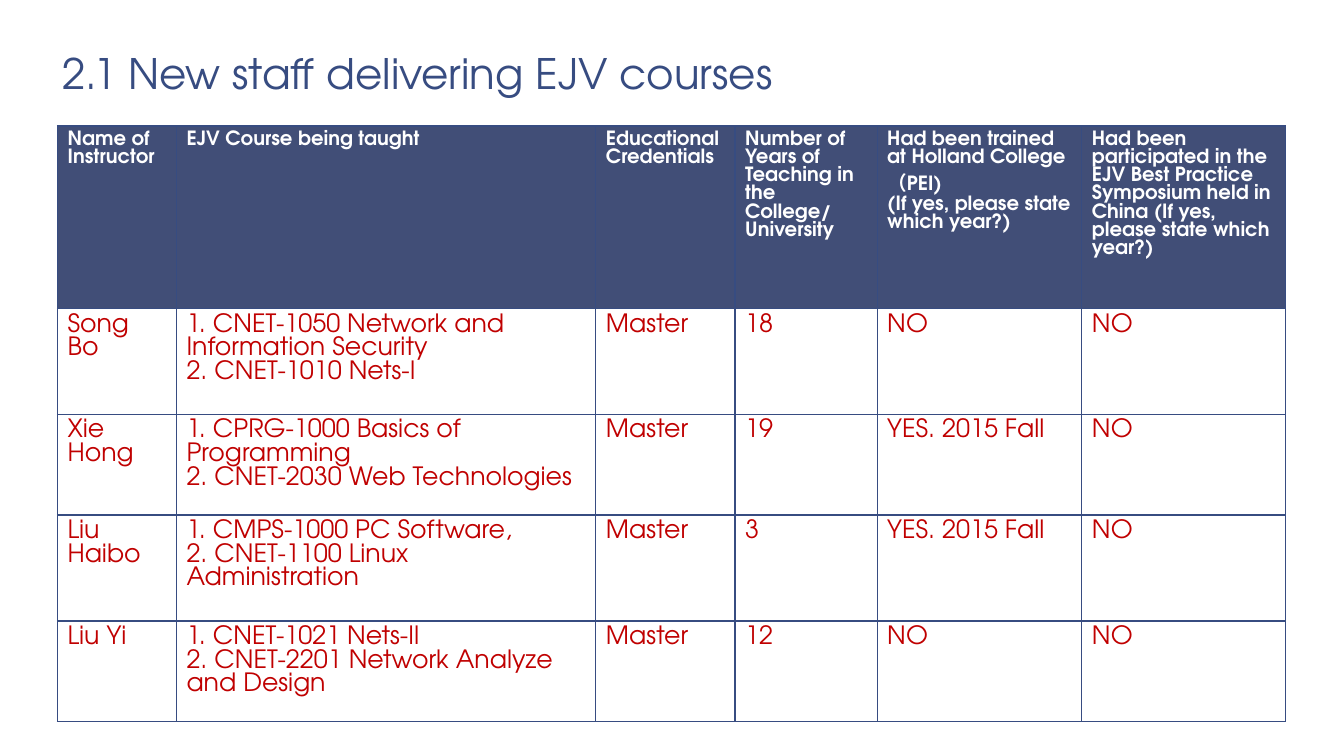
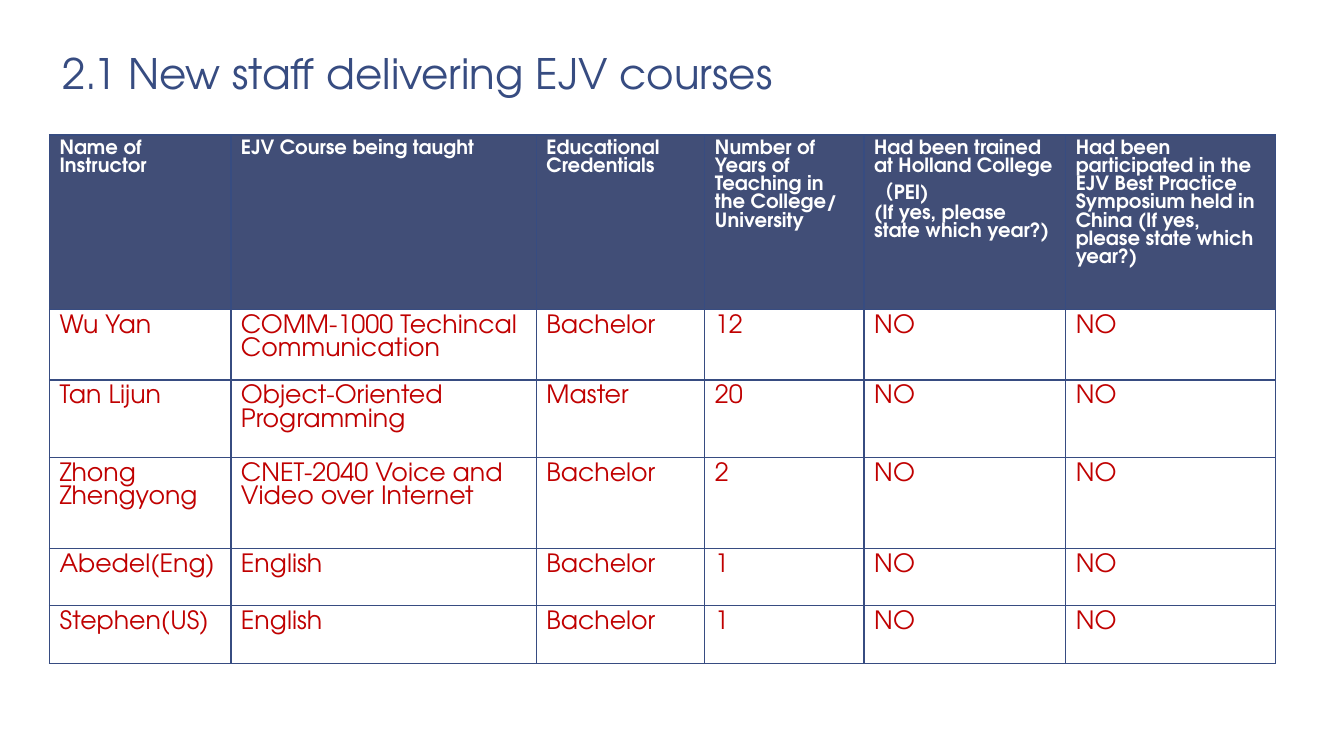
from lxml import etree
from pptx import Presentation
from pptx.dml.color import RGBColor
from pptx.enum.shapes import MSO_SHAPE
from pptx.enum.text import MSO_ANCHOR, PP_ALIGN
from pptx.oxml.ns import qn
from pptx.util import Inches, Pt

ROUNDED = MSO_SHAPE.ROUNDED_RECTANGLE
MIDDLE = MSO_ANCHOR.MIDDLE
TOP = MSO_ANCHOR.TOP
LEFT = PP_ALIGN.LEFT

FONT = "TeX Gyre Adventor"
BLUE = RGBColor(0x37, 0x4C, 0x81)
HEADER_FILL = RGBColor(0x41, 0x4E, 0x77)
WHITE = RGBColor(0xFF, 0xFF, 0xFF)
RED = RGBColor(0xC0, 0x00, 0x00)

TITLE = "2.1 New staff delivering EJV courses"
TITLE_BOX = (0.49, 0.39, 7.98, 0.67)
BORDER_SIDES = ("a:lnL", "a:lnR", "a:lnT", "a:lnB")

HEADER = (
    "Name of Instructor",
    "EJV Course being taught",
    "Educational\nCredentials",
    "Number of Years of Teaching in the College/ University",
    "Had been trained at Holland College （PEI)\n(If yes, please state which year?)",
    "Had been participated in the EJV Best Practice Symposium held in China "
    "(If yes, please state which year?)",
)

STAFF_TABLES = (
    {
        "origin": (0.57, 1.25),
        "columns": (1.18, 4.16, 1.38, 1.41, 2.03, 2.02),
        "heights": (1.81, 1.05, 1.0, 1.05, 1.0),
        "staff": (
            ("Song Bo", "1. CNET-1050 Network and Information Security\n2. CNET-1010 Nets-I",
             "Master", "18", "NO", "NO"),
            ("Xie Hong", "1. CPRG-1000 Basics of Programming\n2. CNET-2030 Web Technologies",
             "Master", "19", "YES. 2015 Fall", "NO"),
            ("Liu Haibo", "1. CMPS-1000 PC Software,\n2. CNET-1100 Linux Administration",
             "Master", "3", "YES. 2015 Fall", "NO"),
            ("Liu Yi", "1. CNET-1021 Nets-II\n2. CNET-2201 Network Analyze and Design",
             "Master", "12", "NO", "NO"),
        ),
    },
    {
        "origin": (0.49, 1.34),
        "columns": (1.8, 3.03, 1.67, 1.58, 2.0, 2.08),
        "heights": (1.73, 0.7, 0.77, 0.9, 0.57, 0.57),
        "staff": (
            ("Wu Yan", "COMM-1000 Techincal Communication", "Bachelor", "12", "NO", "NO"),
            ("Tan Lijun", "Object-Oriented Programming", "Master", "20", "NO", "NO"),
            ("Zhong Zhengyong", "CNET-2040 Voice and Video over Internet",
             "Bachelor", "2", "NO", "NO"),
            ("Abedel(Eng)", "English", "Bachelor", "1", "NO", "NO"),
            ("Stephen(US)", "English", "Bachelor", "1", "NO", "NO"),
        ),
    },
)


def write_text(frame, text, size, color, bold=False):
    frame.word_wrap = True
    for index, line in enumerate(text.split("\n")):
        paragraph = frame.add_paragraph() if index else frame.paragraphs[0]
        paragraph.alignment = LEFT
        run = paragraph.add_run()
        run.text = line
        run.font.name = FONT
        run.font.size = Pt(size)
        run.font.bold = bold
        run.font.color.rgb = color


def add_title(slide, box):
    shape = slide.shapes.add_shape(ROUNDED, *map(Inches, box))
    shape.shadow.inherit = False
    shape.fill.background()
    shape.line.fill.background()
    shape.text_frame.vertical_anchor = MIDDLE
    write_text(shape.text_frame, TITLE, 30, BLUE)


def add_borders(cell):
    properties = cell._tc.get_or_add_tcPr()
    for index, side in enumerate(BORDER_SIDES):
        line = etree.Element(qn(side), w=str(Pt(1)))
        fill = etree.SubElement(line, qn("a:solidFill"))
        etree.SubElement(fill, qn("a:srgbClr"), val=str(BLUE))
        properties.insert(index, line)


def fill_cell(cell, text, is_header):
    cell.margin_left = cell.margin_right = Inches(0.1)
    cell.margin_top = cell.margin_bottom = Inches(0.05)
    cell.vertical_anchor = TOP
    if is_header:
        cell.fill.solid()
        cell.fill.fore_color.rgb = HEADER_FILL
        write_text(cell.text_frame, text, 14, WHITE, True)
    else:
        cell.fill.background()
        write_text(cell.text_frame, text, 18, RED)
    add_borders(cell)


def add_staff_table(slide, origin, columns, heights, staff):
    rows = (HEADER,) + staff
    box = (*origin, sum(columns), sum(heights))
    frame = slide.shapes.add_table(len(rows), len(columns), *map(Inches, box))
    table = frame.table
    table.horz_banding = False
    for column, width in zip(table.columns, columns):
        column.width = Inches(width)
    for row_index, (texts, height) in enumerate(zip(rows, heights)):
        table.rows[row_index].height = Inches(height)
        for column_index, text in enumerate(texts):
            fill_cell(table.cell(row_index, column_index), text, row_index == 0)


def add_staff_slide(presentation, content):
    slide = presentation.slides.add_slide(presentation.slide_layouts[6])
    add_title(slide, TITLE_BOX)
    add_staff_table(slide, **content)


def main():
    presentation = Presentation()
    presentation.slide_width = Inches(13.33)
    presentation.slide_height = Inches(7.5)
    for content in STAFF_TABLES:
        add_staff_slide(presentation, content)
    presentation.save("out.pptx")


if __name__ == "__main__":
    main()
